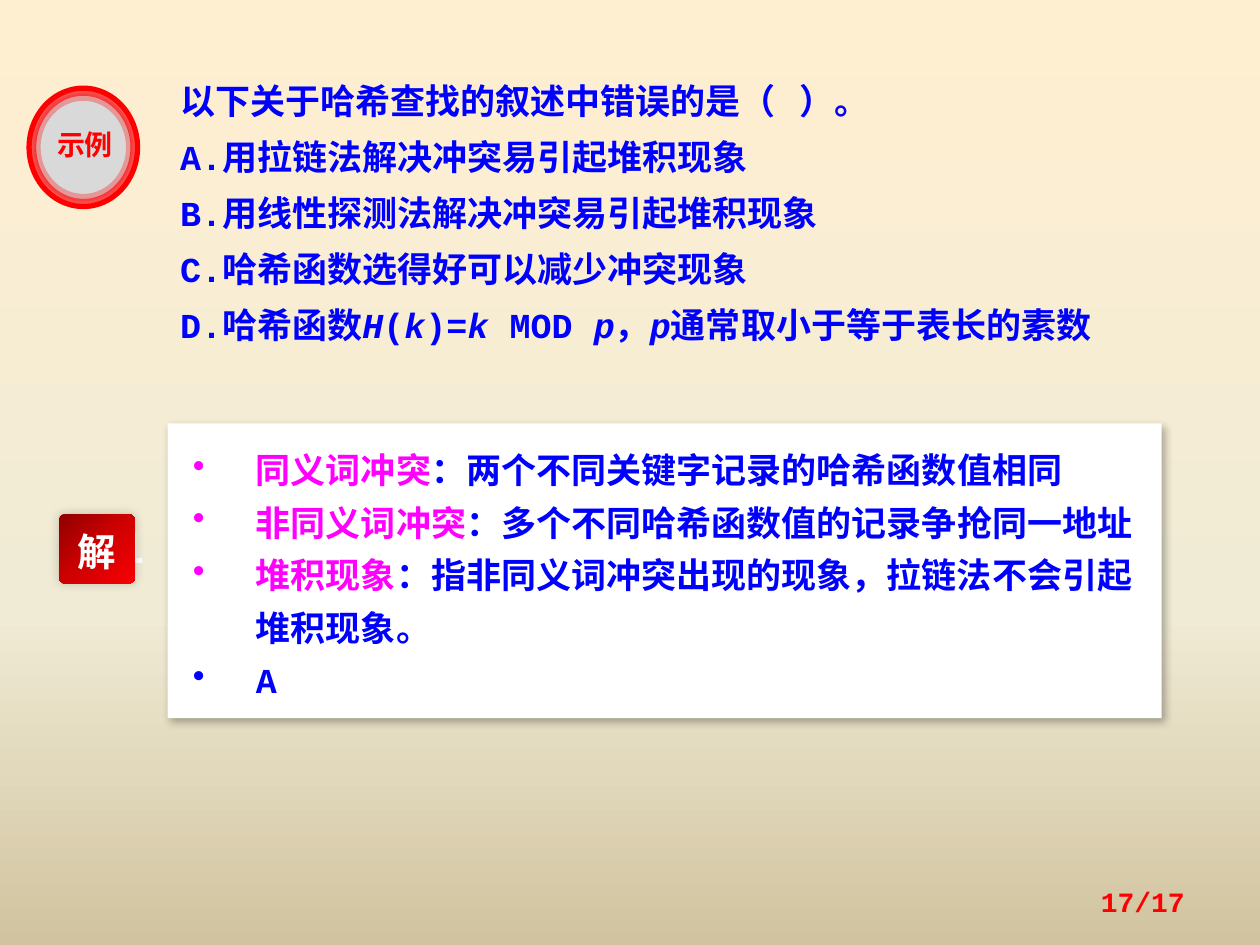
"""Build the hash-search quiz slide with its worked answer."""
import dataclasses
import typing

import lxml.etree
import pptx
import pptx.dml.color
import pptx.enum.shapes
import pptx.enum.text
import pptx.oxml.ns
import pptx.util

Pt = pptx.util.Pt
qn = pptx.oxml.ns.qn
SHAPE = pptx.enum.shapes.MSO_SHAPE
ALIGN = pptx.enum.text.PP_ALIGN
ANCHOR = pptx.enum.text.MSO_ANCHOR
AUTO = pptx.enum.text.MSO_AUTO_SIZE


@dataclasses.dataclass(frozen=True)
class Theme:
    mono: str = "Courier New"
    sans: str = "Noto Sans CJK SC"
    body_size: float = 20
    small_size: float = 16
    number_size: float = 24
    solution_size: float = 22
    blue: str = "0000FF"
    magenta: str = "FF00FF"
    red: str = "FF0000"
    white: str = "FFFFFF"
    black: str = "000000"
    ring_fills: tuple = ("F8F8F8", "D9D9D9", None)
    ring_opacities: tuple = (100, 70, 30)
    backdrop: tuple = ((0, "FFEFD1"), (65, "F0EBD5"), (100, "D1C39F"))
    button: tuple = ((0, "8F0000"), (50, "CF0001"), (100, "F60004"))


THEME = Theme()


class Area(typing.NamedTuple):
    left: float
    top: float
    width: float
    height: float

    def lengths(self) -> list:
        return [Pt(value) for value in self]


class Span(typing.NamedTuple):
    text: str
    color: str = THEME.blue
    italic: bool = False


class Shadow(typing.NamedTuple):
    opacity: float
    blur: float
    distance: float
    angle: float


@dataclasses.dataclass(frozen=True)
class TextStyle:
    size: float
    font: str = THEME.sans
    align: typing.Any = ALIGN.CENTER
    spacing: typing.Any = 1.1
    bullet_indent: float = 0


def apply(target: typing.Any, values: dict) -> None:
    for name, value in values.items():
        setattr(target, name, value)


def rgb(color: str) -> pptx.dml.color.RGBColor:
    return pptx.dml.color.RGBColor.from_string(color)


def add_node(parent: typing.Any, tag: str, **attributes: typing.Any) -> typing.Any:
    values = {name: str(value) for name, value in attributes.items()}
    return lxml.etree.SubElement(parent, qn(tag), values)


def set_gradient(fill: typing.Any, element: typing.Any, stops: tuple, angle: float) -> None:
    fill.gradient()
    gradient = element.find(".//" + qn("a:gradFill"))
    stop_list = gradient.find(qn("a:gsLst"))
    for stop in list(stop_list):
        stop_list.remove(stop)
    for position, color in stops:
        add_node(add_node(stop_list, "a:gs", pos=position * 1000), "a:srgbClr", val=color)
    gradient.find(qn("a:lin")).set("ang", str(angle * 60000))


def set_shadow(shape: typing.Any, shadow: Shadow) -> None:
    effects = shape._element.spPr.find(qn("a:effectLst"))
    outer = add_node(effects, "a:outerShdw", blurRad=Pt(shadow.blur), dist=Pt(shadow.distance),
                     dir=shadow.angle * 60000, algn="ctr", rotWithShape=0)
    color = add_node(outer, "a:srgbClr", val=THEME.black)
    add_node(color, "a:alpha", val=shadow.opacity * 1000)


def write_text(box: typing.Any, lines: list, style: TextStyle, **frame_values: typing.Any) -> None:
    frame = box.text_frame
    apply(frame, {"word_wrap": True, "vertical_anchor": ANCHOR.TOP, **frame_values})
    for index, spans in enumerate(lines):
        para = frame.add_paragraph() if index else frame.paragraphs[0]
        apply(para, {"alignment": style.align, "line_spacing": style.spacing})
        if style.bullet_indent:
            properties = para._p.get_or_add_pPr()
            properties.set("marL", str(Pt(style.bullet_indent)))
            properties.set("indent", str(-Pt(style.bullet_indent)))
            add_node(properties, "a:buChar", char="•")
        for span in spans:
            run = para.add_run()
            run.text = span.text
            apply(run.font, {"name": style.font, "size": Pt(style.size),
                             "bold": True, "italic": span.italic})
            run.font.color.rgb = rgb(span.color)
            add_node(run._r.get_or_add_rPr(), "a:ea", typeface=THEME.sans)


def add_text(shapes: typing.Any, area: Area, lines: list, style: TextStyle,
             **frame_values: typing.Any) -> None:
    write_text(shapes.add_textbox(*area.lengths()), lines, style, **frame_values)


def add_panel(shapes: typing.Any, kind: typing.Any, area: Area,
              fill: typing.Optional[str] = None) -> typing.Any:
    shape = shapes.add_shape(kind, *area.lengths())
    shape.shadow.inherit = False
    shape.line.fill.background()
    if fill:
        shape.fill.solid()
        shape.fill.fore_color.rgb = rgb(fill)
    else:
        shape.fill.background()
    return shape


def add_example_badge(shapes: typing.Any) -> None:
    for step, (fill, opacity) in enumerate(zip(THEME.ring_fills, THEME.ring_opacities)):
        width, height = 62 - 5.1 * step, 67.6 - 5.7 * step
        area = Area(47.6 - width / 2, 84.2 - height / 2, width, height)
        ring = add_panel(shapes, SHAPE.OVAL, area, fill)
        ring.line.color.rgb = rgb(THEME.red)
        ring.line.width = Pt(3)
        color = ring._element.find(".//" + qn("a:ln") + "//" + qn("a:srgbClr"))
        add_node(color, "a:alpha", val=opacity * 1000)
    add_text(shapes, Area(22.3, 67.7, 52.6, 23), [[Span("示例", THEME.red)]],
             TextStyle(THEME.small_size), auto_size=AUTO.SHAPE_TO_FIT_TEXT)


def add_solution_badge(shapes: typing.Any) -> None:
    add_text(shapes, Area(61.2, 291.6, 29.5, 36.7), [[Span("1", THEME.white)]],
             TextStyle(THEME.number_size), word_wrap=False)
    button = add_panel(shapes, SHAPE.ROUNDED_RECTANGLE, Area(33.8, 293.8, 43.2, 39.6))
    button.adjustments[0] = 0.08
    set_gradient(button.fill, button._element, THEME.button, 45)
    set_shadow(button, Shadow(20, 6, 0, 225))
    write_text(button, [[Span("解", THEME.white)]], TextStyle(THEME.solution_size),
               word_wrap=False, vertical_anchor=ANCHOR.MIDDLE)


def main() -> None:
    deck = pptx.Presentation()
    apply(deck, {"slide_width": Pt(720), "slide_height": Pt(540)})
    slide = deck.slides.add_slide(deck.slide_layouts[6])
    set_gradient(slide.background.fill, slide._element, THEME.backdrop, 90)

    formula = [Span("D.哈希函数"), Span("H", italic=True), Span("("), Span("k", italic=True),
               Span(")="), Span("k", italic=True), Span(" MOD "), Span("p", italic=True),
               Span("，"), Span("p", italic=True), Span("通常取小于等于表长的素数")]
    question = ["以下关于哈希查找的叙述中错误的是（   ）。", "A.用拉链法解决冲突易引起堆积现象",
                "B.用线性探测法解决冲突易引起堆积现象", "C.哈希函数选得好可以减少冲突现象"]
    add_text(slide.shapes, Area(95.8, 33.8, 585.4, 168.5),
             [[Span(text)] for text in question] + [formula],
             TextStyle(THEME.body_size, THEME.mono, ALIGN.LEFT, Pt(32)),
             auto_size=AUTO.SHAPE_TO_FIT_TEXT)

    terms = {"同义词冲突": "：两个不同关键字记录的哈希函数值相同",
             "非同义词冲突": "：多个不同哈希函数值的记录争抢同一地址",
             "堆积现象": "：指非同义词冲突出现的现象，拉链法不会引起堆积现象。"}
    answer = add_panel(slide.shapes, SHAPE.RECTANGLE, Area(95.8, 242, 568, 168.5), THEME.white)
    set_shadow(answer, Shadow(30, 4.5, 2.6, 53))
    write_text(answer,
               [[Span(term, THEME.magenta), Span(text)] for term, text in terms.items()]
               + [[Span("A")]],
               TextStyle(THEME.body_size, THEME.mono, ALIGN.LEFT, Pt(30), bullet_indent=36),
               margin_left=Pt(14.4), margin_top=Pt(8.6), margin_bottom=Pt(8.6),
               auto_size=AUTO.SHAPE_TO_FIT_TEXT)

    for draw_badge in (add_example_badge, add_solution_badge):
        draw_badge(slide.shapes.add_group_shape().shapes)
    add_text(slide.shapes, Area(516.2, 500.4, 167.8, 28.8), [[Span("17/17", THEME.red)]],
             TextStyle(THEME.small_size, THEME.mono, ALIGN.RIGHT, 1.0),
             vertical_anchor=ANCHOR.MIDDLE)
    deck.save("out.pptx")


if __name__ == "__main__":
    main()
